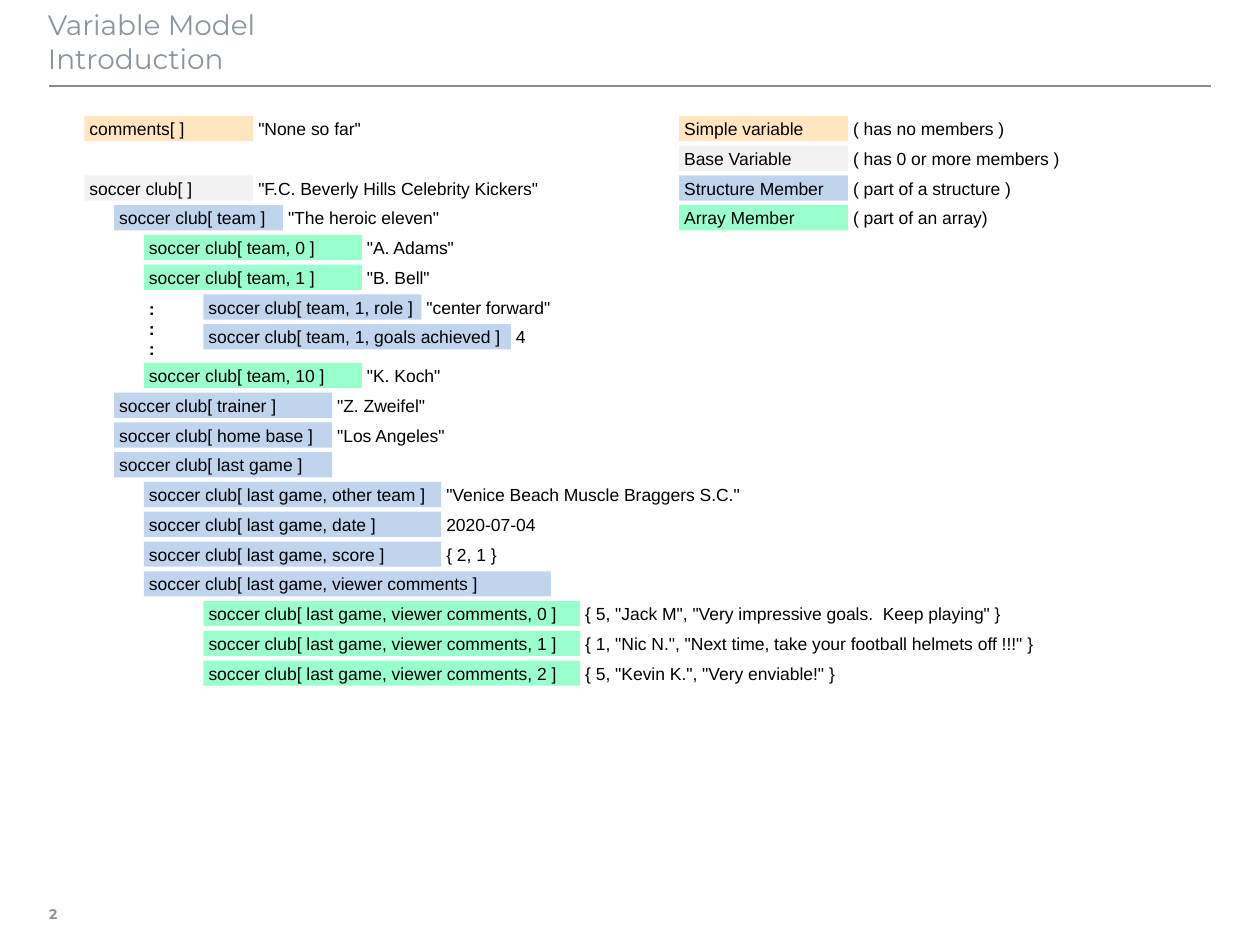
from lxml import etree
from pptx import Presentation
from pptx.dml.color import RGBColor
from pptx.enum import shapes, text
from pptx.oxml.ns import qn
from pptx.util import Inches, Pt

STEP = 6 / 25.4  # 6 mm grid for rows and indents
LEFT, TOP, ROW_HEIGHT = 0.67, 0.92, 0.2
LEGEND_LEFT, LEGEND_WIDTH = 5.39, 1.34
ELLIPSIS_SHIFT = 0.3  # extra rows left for the column of colons

SIMPLE, BASE, STRUCTURE, ARRAY = "FFE6C1", "F2F2F2", "C1D4EE", "99FFCC"

# row, indent, kind, name, name width, value, value width
VARIABLES = [
    (0, 0, SIMPLE, "comments[ ]", 1.34, '"None so far"', 2.28),
    (2, 0, BASE, "soccer club[ ]", 1.34, '"F.C. Beverly Hills Celebrity Kickers"', 2.28),
    (3, 1, STRUCTURE, "soccer club[ team ]", 1.34, '"The heroic eleven"', 2.28),
    (4, 2, ARRAY, "soccer club[ team, 0 ]", 1.73, '"A. Adams"', 1.26),
    (5, 2, ARRAY, "soccer club[ team, 1 ]", 1.73, '"B. Bell"', 1.26),
    (6, 4, STRUCTURE, "soccer club[ team, 1, role ]", 1.73, '"center forward"', 1.1),
    (7, 4, STRUCTURE, "soccer club[ team, 1, goals achieved ]", 2.44, "4", 0.39),
    (8, 2, ARRAY, "soccer club[ team, 10 ]", 1.73, '"K. Koch"', 1.26),
    (9, 1, STRUCTURE, "soccer club[ trainer ]", 1.73, '"Z. Zweifel"', 1.73),
    (10, 1, STRUCTURE, "soccer club[ home base ]", 1.73, '"Los Angeles"', 1.73),
    (11, 1, STRUCTURE, "soccer club[ last game ]", 1.73, None, 0),
    (12, 2, STRUCTURE, "soccer club[ last game, other team ]", 2.36,
     '"Venice Beach Muscle Braggers S.C."', 1.73),
    (13, 2, STRUCTURE, "soccer club[ last game, date ]", 2.36, "2020-07-04", 1.73),
    (14, 2, STRUCTURE, "soccer club[ last game, score ]", 2.36, "{ 2, 1 }", 1.73),
    (15, 2, STRUCTURE, "soccer club[ last game, viewer comments ]", 3.23, None, 0),
    (16, 4, ARRAY, "soccer club[ last game, viewer comments, 0 ]", 2.99,
     '{ 5, "Jack M", "Very impressive goals.  Keep playing" }', 1.73),
    (17, 4, ARRAY, "soccer club[ last game, viewer comments, 1 ]", 2.99,
     '{ 1, "Nic N.", "Next time, take your football helmets off !!!" }', 1.73),
    (18, 4, ARRAY, "soccer club[ last game, viewer comments, 2 ]", 2.99,
     '{ 5, "Kevin K.", "Very enviable!" }', 1.73),
]

LEGEND = [
    (SIMPLE, "Simple variable", "( has no members )"),
    (BASE, "Base Variable", "( has 0 or more members )"),
    (STRUCTURE, "Structure Member", "( part of a structure )"),
    (ARRAY, "Array Member", "( part of an array)"),
]


def rgb(value):
    return RGBColor.from_string(value)


def write(shape, content, size=10, font="Arial", color="000000", bold=False,
          anchor=text.MSO_ANCHOR.MIDDLE, insets=(0.04, 0.04, 0.04, 0.04), wrap=False):
    """Insets run left, top, right, bottom; a vertical tab breaks the line."""
    frame = shape.text_frame
    frame.auto_size = text.MSO_AUTO_SIZE.NONE
    frame.word_wrap = wrap
    frame.vertical_anchor = anchor
    (frame.margin_left, frame.margin_top,
     frame.margin_right, frame.margin_bottom) = map(Inches, insets)
    paragraph = frame.paragraphs[0]
    paragraph.text = content
    paragraph.alignment = text.PP_ALIGN.LEFT
    for run in paragraph.runs:
        run.font.name, run.font.size, run.font.bold = font, Pt(size), bold
        run.font.color.rgb = rgb(color)


class VariableSlide:
    heading = {"font": "Montserrat", "color": "8996A0"}
    rule_color = "808D97"

    def __init__(self, deck):
        self.slide = deck.slides.add_slide(deck.slide_layouts[5])
        self.shapes = self.slide.shapes

    def title(self, content):
        title = self.shapes.title
        title.left, title.top = Inches(0.38), Inches(0.01)
        title.width, title.height = Inches(9.21), Inches(0.63)
        write(title, content, size=16, anchor=text.MSO_ANCHOR.TOP,
              insets=(0, 0.05, 0.1, 0.05), wrap=True, **self.heading)

    def rule(self, left, right, top):
        line = self.shapes.add_connector(
            shapes.MSO_CONNECTOR.STRAIGHT,
            Inches(left), Inches(top), Inches(right), Inches(top))
        line.line.color.rgb = rgb(self.rule_color)
        line.line.width = Pt(1)
        etree.SubElement(line._element.spPr, qn("a:effectLst"))

    def label(self, content, left, top, width, height=ROW_HEIGHT, **style):
        box = self.shapes.add_textbox(*map(Inches, (left, top, width, height)))
        write(box, content, **style)

    def bar(self, content, left, top, width, fill):
        bar = self.shapes.add_shape(
            shapes.MSO_SHAPE.RECTANGLE, *map(Inches, (left, top, width, ROW_HEIGHT)))
        bar.shadow.inherit = False
        bar.fill.solid()
        bar.fill.fore_color.rgb = rgb(fill)
        bar.line.fill.background()
        write(bar, content)

    def entry(self, name, value, left, row, width, value_width, fill):
        """A coloured name with its value right beside it."""
        top = TOP + row * STEP
        self.bar(name, left, top, width, fill)
        if value:
            self.label(value, left + width, top, value_width)


def main():
    deck = Presentation()
    deck.slide_width, deck.slide_height = Inches(10), Inches(7.5)
    page = VariableSlide(deck)

    page.rule(0.39, 9.61, 0.68)
    page.label("2", 0.39, 7.06, 0.35, 0.39, size=8, bold=True,
               insets=(0, 0.05, 0.08, 0.05), **page.heading)
    page.title("Variable Model\vIntroduction")

    for row, indent, kind, name, width, value, value_width in VARIABLES:
        if row >= 8:
            row += ELLIPSIS_SHIFT
        page.entry(name, value, LEFT + indent * STEP, row, width, value_width, kind)

    for dot in range(3):
        page.label(":", LEFT + 2 * STEP, 2.33 + dot * 0.16, 0.16, 0.24, bold=True)

    for row, (kind, name, meaning) in enumerate(LEGEND):
        page.entry(name, meaning, LEGEND_LEFT, row, LEGEND_WIDTH, 2.28, kind)

    deck.save("out.pptx")


if __name__ == "__main__":
    main()
